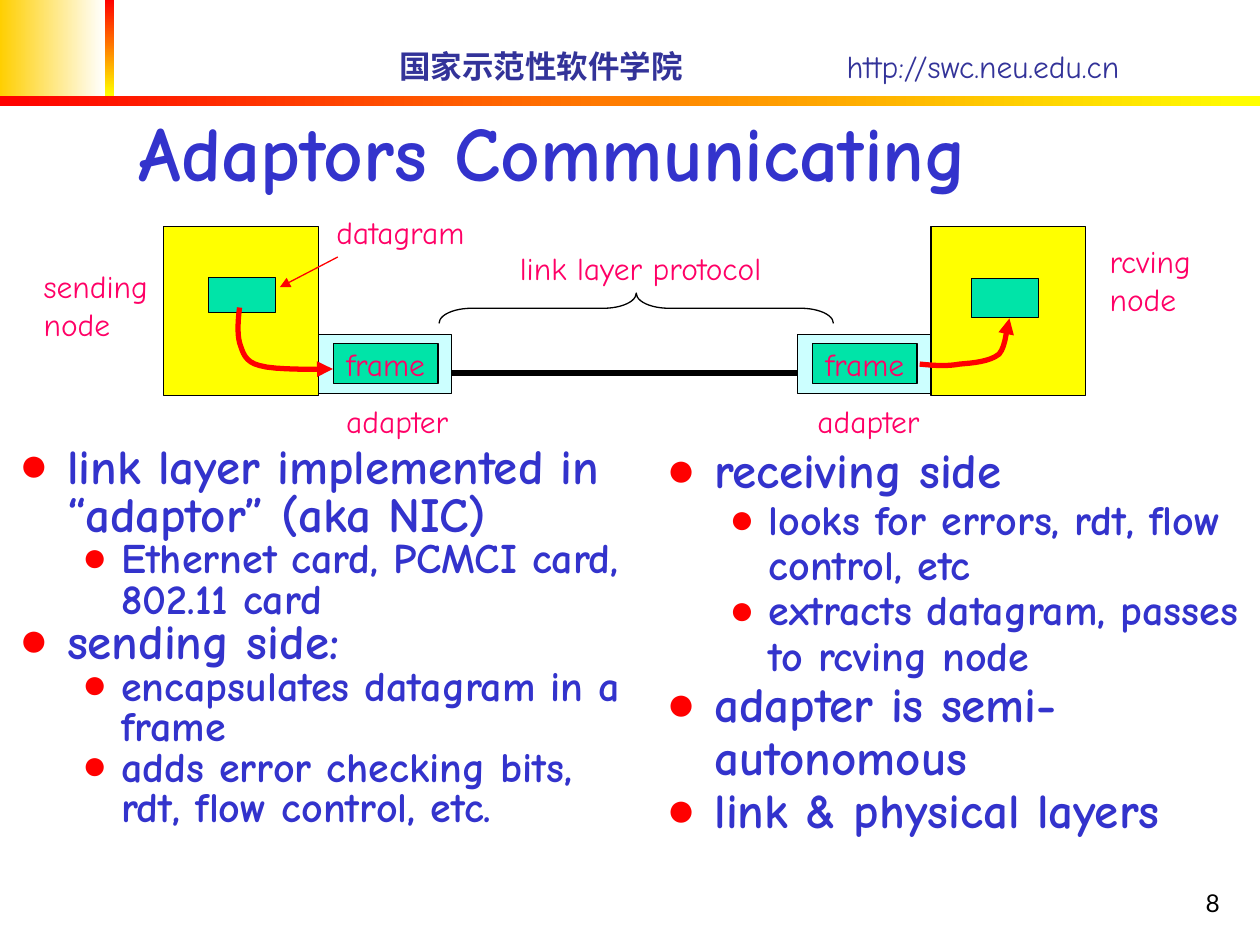
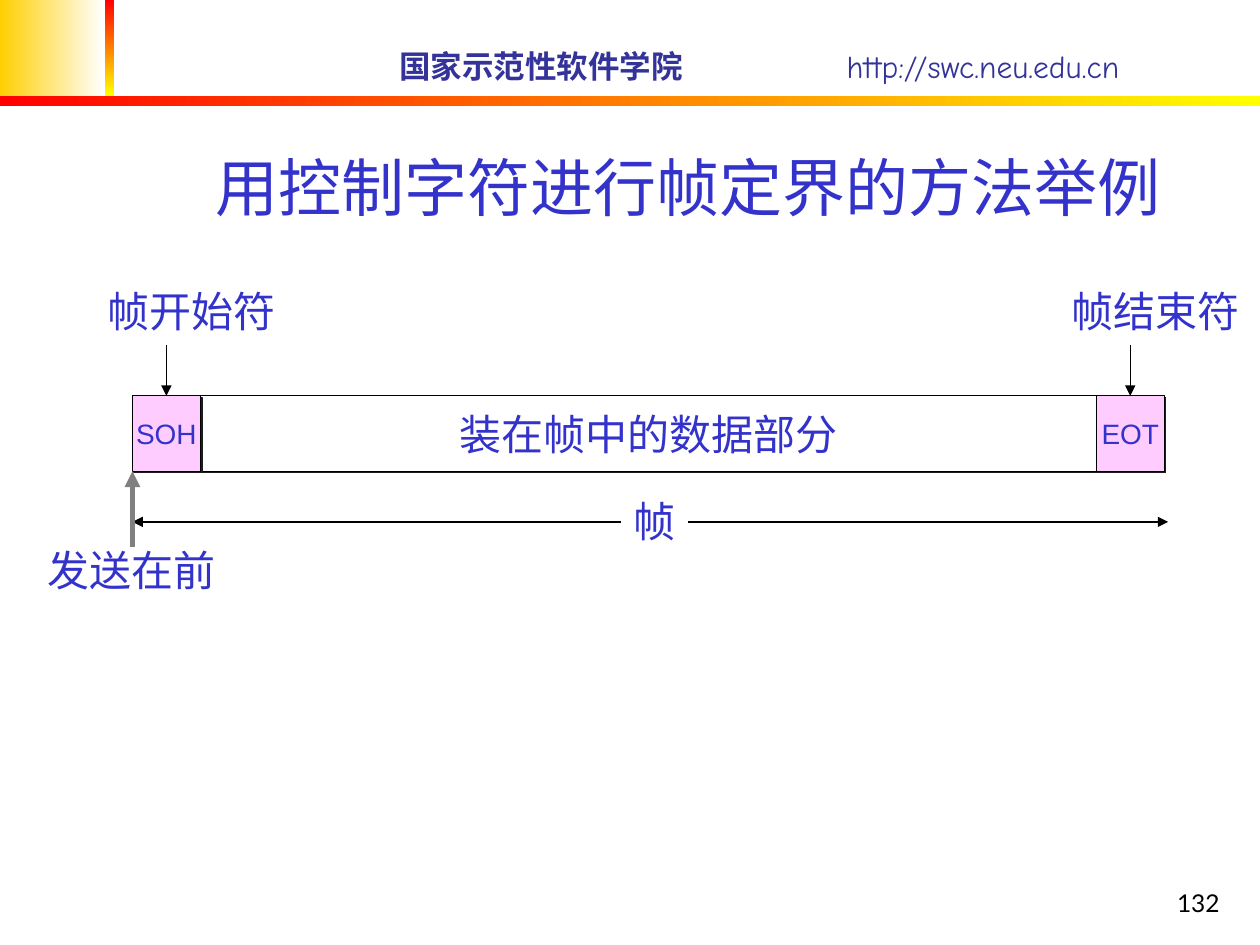
import dataclasses

import pptx
import pptx.dml.color
import pptx.enum.shapes
import pptx.enum.text
import pptx.oxml
import pptx.oxml.ns
import pptx.util
from lxml import etree

Cm = pptx.util.Cm
Pt = pptx.util.Pt
qn = pptx.oxml.ns.qn
ALIGN = pptx.enum.text.PP_ALIGN
ANCHOR = pptx.enum.text.MSO_ANCHOR
SHAPE = pptx.enum.shapes.MSO_SHAPE


@dataclasses.dataclass(frozen=True)
class Theme:
    blue: str = "3333CC"
    header_blue: str = "333399"
    red: str = "FF0000"
    yellow: str = "FFFF00"
    gold: str = "FFCF01"
    white: str = "FFFFFF"
    black: str = "000000"
    gray: str = "808080"
    magenta: str = "FF0066"
    green: str = "00E4A8"
    pale_cyan: str = "CCFFFF"
    pink: str = "FFCCFF"
    shadow: str = "1C1C1C"
    comic: str = "Comic Neue"
    lato: str = "Lato"
    arial: str = "Arial"
    list_sizes: tuple = (28, 24)
    label_size: int = 18
    chinese_size: int = 24
    symbol_size: int = 16
    number_size: int = 14
    thin: float = 0.75
    thick: float = 3


THEME = Theme()
LIST_INDENTS = ((0.97, -0.97), (2.06, -0.79))


@dataclasses.dataclass(frozen=True)
class Box:
    """A rectangle in centimetres."""
    left: float
    top: float
    width: float
    height: float

    def inner(self, left, top, width, height):
        return Box(self.left + left, self.top + top, width, height)

    def point(self, x, y):
        return Cm(self.left + x), Cm(self.top + y)

    def lengths(self):
        return [Cm(value) for value in dataclasses.astuple(self)]


def rgb(color):
    return pptx.dml.color.RGBColor.from_string(color)


def add_element(parent, tag, **attributes):
    return etree.SubElement(parent, qn(tag), {key: str(value) for key, value in attributes.items()})


def add_run(paragraph, text, size=18, color=THEME.blue, font=THEME.comic, bold=False):
    run = paragraph.add_run()
    run.text = text
    run.font.size = Pt(size)
    run.font.name = font
    run.font.bold = bold
    run.font.color.rgb = rgb(color)


def write(shape, text, align=ALIGN.LEFT, anchor=ANCHOR.TOP, wrap=False, **run_format):
    """Set the text of a shape, one paragraph for each line."""
    frame = shape.text_frame
    frame.auto_size = pptx.enum.text.MSO_AUTO_SIZE.NONE
    frame.word_wrap = wrap
    frame.vertical_anchor = anchor
    for index, line in enumerate(text.split("\n")):
        paragraph = frame.add_paragraph() if index else frame.paragraphs[0]
        paragraph.alignment = align
        add_run(paragraph, line, **run_format)
    return shape


def add_label(slide, box, text, **text_format):
    return write(slide.shapes.add_textbox(*box.lengths()), text, **text_format)


def style_line(shape, color, width, head=False, tail=False):
    shape.line.color.rgb = rgb(color)
    shape.line.width = Pt(width)
    line = shape.element.spPr.find(qn("a:ln"))
    for tag, wanted in (("a:headEnd", head), ("a:tailEnd", tail)):
        if wanted:
            add_element(line, tag, type="triangle")


def add_rectangle(slide, box, fill, shadow=False):
    shape = slide.shapes.add_shape(SHAPE.RECTANGLE, *box.lengths())
    shape.shadow.inherit = False
    shape.fill.solid()
    shape.fill.fore_color.rgb = rgb(fill)
    style_line(shape, THEME.black, THEME.thin)
    if shadow:
        effects = shape.element.spPr.find(qn("a:effectLst"))
        outer = add_element(effects, "a:outerShdw", dist=Pt(1.4), dir=45 * 60000, algn="ctr", rotWithShape=0)
        add_element(outer, "a:srgbClr", val=THEME.shadow)
    return shape


def add_line(slide, start, end, color=THEME.black, width=THEME.thin, **arrowheads):
    connector = slide.shapes.add_connector(pptx.enum.shapes.MSO_CONNECTOR.STRAIGHT, *start, *end)
    style_line(connector, color, width, **arrowheads)
    add_element(connector.element.spPr, "a:effectLst")
    return connector


def curve_points(points, steps=8):
    """Sample a chain of cubic Bézier segments."""
    for index in range(0, len(points) - 1, 3):
        corners = points[index:index + 4]
        for step in range(1, steps + 1):
            t = step / steps
            weights = ((1 - t) ** 3, 3 * t * (1 - t) ** 2, 3 * t ** 2 * (1 - t), t ** 3)
            yield tuple(sum(weight * corner[axis] for weight, corner in zip(weights, corners))
                        for axis in (0, 1))


def add_curved_arrow(slide, box, points):
    builder = slide.shapes.build_freeform(*box.point(*points[0]))
    builder.add_line_segments([box.point(*point) for point in curve_points(points)], close=False)
    arrow = builder.convert_to_shape()
    arrow.shadow.inherit = False
    arrow.fill.background()
    style_line(arrow, THEME.red, THEME.thick, tail=True)


def add_gradient_band(slide, box, colors, angle=0):
    band = slide.shapes.add_shape(SHAPE.RECTANGLE, *box.lengths())
    band.shadow.inherit = False
    band.line.fill.background()
    band.fill.gradient()
    band.fill.gradient_angle = angle
    for stop, color in zip(band.fill.gradient_stops, colors):
        stop.color.rgb = rgb(color)


def add_header(slide, box):
    corner_width, stripe, bar_top = 2.11, 0.2, 1.93
    add_gradient_band(slide, box.inner(0, 0, corner_width, bar_top), (THEME.gold, THEME.white))
    add_gradient_band(slide, box.inner(corner_width, 0, stripe, bar_top), (THEME.red, THEME.yellow), 270)
    add_gradient_band(slide, box.inner(0, bar_top, box.width, stripe), (THEME.red, THEME.yellow))
    label = slide.shapes.add_textbox(*box.inner(7.8, 0.81, 17.02, 1.02).lengths())
    paragraph = label.text_frame.paragraphs[0]
    tabs = add_element(paragraph._p.get_or_add_pPr(), "a:tabLst")
    add_element(tabs, "a:tab", pos=Cm(9.02), algn="l")
    write(label, "国家示范性软件学院", anchor=ANCHOR.MIDDLE, wrap=True,
          size=THEME.label_size, color=THEME.header_blue, bold=True)
    add_run(paragraph, "\thttp://swc.neu.edu.cn", size=THEME.label_size, color=THEME.header_blue)


def place(shape, box):
    shape.left, shape.top, shape.width, shape.height = box.lengths()
    return shape


def add_slide(presentation, layout_index, number, title, title_box, **title_format):
    slide = presentation.slides.add_slide(presentation.slide_layouts[layout_index])
    add_header(slide, Box(0, 0, 25.4, 2.13))
    write(place(slide.shapes.title, title_box), title, anchor=ANCHOR.BOTTOM, wrap=True, **title_format)
    add_label(slide, Box(19.56, 17.35, 5.28, 1.27), number, align=ALIGN.RIGHT, anchor=ANCHOR.BOTTOM,
              wrap=True, size=THEME.number_size, font=THEME.lato, color=THEME.black)
    return slide


def fill_list(placeholder, box, items, line_spacing):
    frame = place(placeholder, box).text_frame
    frame.auto_size = pptx.enum.text.MSO_AUTO_SIZE.NONE
    for index, (level, text) in enumerate(items):
        paragraph = frame.add_paragraph() if index else frame.paragraphs[0]
        paragraph.level = level
        properties = paragraph._p.get_or_add_pPr()
        margin, indent = LIST_INDENTS[level]
        properties.set("marL", str(Cm(margin)))
        properties.set("indent", str(Cm(indent)))
        add_element(add_element(properties, "a:buClr"), "a:srgbClr", val=THEME.red)
        add_element(properties, "a:buFont", typeface=THEME.arial)
        add_element(properties, "a:buChar", char="●")
        paragraph.line_spacing = line_spacing
        paragraph.space_before = Pt(0)
        add_run(paragraph, text, size=THEME.list_sizes[level], bold=True)


def draw_adapter(slide, box, label_offset):
    pink_text = {"size": THEME.label_size, "color": THEME.magenta}
    add_rectangle(slide, box, THEME.pale_cyan)
    frame = add_rectangle(slide, box.inner(0.3, 0.18, 2.11, 0.81), THEME.green)
    write(frame, "frame", align=ALIGN.CENTER, anchor=ANCHOR.MIDDLE, **pink_text)
    add_label(slide, box.inner(label_offset, 1.22, 2.59, 1.02), "adapter", **pink_text)


def draw_adapter_diagram(slide, box):
    node_width, adapter_width, adapter_top = 3.12, 2.69, 2.18
    receiver_left = box.width - node_width
    receiving_adapter_left = receiver_left - adapter_width
    for left, label_offset in ((node_width, 0.31), (receiving_adapter_left, 0.15)):
        draw_adapter(slide, box.inner(left, adapter_top, adapter_width, 1.19), label_offset)
    link_y = 2.95
    add_line(slide, box.point(node_width + adapter_width, link_y),
             box.point(receiving_adapter_left, link_y), width=THEME.thick)
    for left, datagram in ((0, (0.91, 1.02, 1.35, 0.71)), (receiver_left, (0.81, 1.04, 1.35, 0.79))):
        node = box.inner(left, 0, node_width, box.height)
        add_rectangle(slide, node, THEME.yellow)
        add_rectangle(slide, node.inner(*datagram), THEME.green)
    add_line(slide, box.point(3.51, 0.61), box.point(2.34, 1.22), color=THEME.red, tail=True)
    add_curved_arrow(slide, box, [
        (1.53, 1.63), (1.5, 1.88), (1.48, 2.14), (1.53, 2.34), (1.6, 2.54),
        (1.63, 2.72), (1.93, 2.8), (2.26, 2.9), (3.15, 2.87), (3.41, 2.87)])
    add_curved_arrow(slide, box, [
        (15.24, 2.77), (15.52, 2.8), (15.78, 2.82), (16.05, 2.77), (16.31, 2.75),
        (16.66, 2.72), (16.84, 2.57), (16.99, 2.41), (16.99, 1.98), (17.05, 1.85)])
    brace = slide.shapes.add_shape(SHAPE.LEFT_BRACE, *box.inner(9.22, -2.33, 0.61, 7.95).lengths())
    brace.rotation = 90
    brace.adjustments[0] = 1.08
    brace.shadow.inherit = False
    brace.fill.background()
    style_line(brace, THEME.black, THEME.thin)
    for text, label_box in (("sending\nnode", (-2.67, 0.69, 2.62, 1.78)),
                            ("rcving\nnode", (18.82, 0.18, 2.16, 1.78)),
                            ("datagram", (3.23, -0.41, 3.12, 1.02)),
                            ("link layer protocol", (6.93, 0.33, 5.41, 1.02))):
        add_label(slide, box.inner(*label_box), text, size=THEME.label_size, color=THEME.magenta)


def draw_frame_format(slide, box):
    chinese = {"size": THEME.chinese_size, "font": THEME.arial}
    centred = {"align": ALIGN.CENTER, "anchor": ANCHOR.MIDDLE}
    cap = 1.37
    data = add_rectangle(slide, box.inner(cap, 0, box.width - 2 * cap, box.height), THEME.white, shadow=True)
    write(data, "装在帧中的数据部分", **centred, **chinese)
    for left, symbol, meaning in ((0, "SOH", "帧开始符"), (box.width - cap, "EOT", "帧结束符")):
        cap_box = box.inner(left, 0, cap, box.height)
        control = add_rectangle(slide, cap_box, THEME.pink, shadow=True)
        write(control, symbol, size=THEME.symbol_size, font=THEME.arial, **centred)
        pointer = add_line(slide, cap_box.point(cap / 2, -1.02), cap_box.point(cap / 2, 0), tail=True)
        pointer.end_connect(control, 0)
        add_label(slide, cap_box.inner(-0.75, -2.34, 3.89, 1.27), meaning, **chinese)
    add_line(slide, box.point(0, 2.54), box.point(box.width + 0.08, 2.54), head=True, tail=True)
    length_label = add_label(slide, box.inner(9.85, 1.88, 1.35, 1.27), "帧", **chinese)
    length_label.fill.solid()
    length_label.fill.fore_color.rgb = rgb(THEME.white)
    add_line(slide, box.point(0, 3.05), box.point(0, box.height), color=THEME.gray,
             width=THEME.thick, tail=True)
    add_label(slide, box.inner(-1.96, 2.87, 3.89, 1.27), "发送在前", **chinese)


def build_adaptors_slide(presentation):
    slide = add_slide(presentation, 3, "8", "Adaptors Communicating",
                      Box(2.54, 0.81, 21.64, 3.28), size=44, bold=True)
    draw_adapter_diagram(slide, Box(3.3, 4.57, 18.59, 3.4))
    fill_list(slide.placeholders[1], Box(0.13, 8.89, 13.03, 8.41), [
        (0, "link layer implemented in “adaptor” (aka NIC)"),
        (1, "Ethernet card, PCMCI card, 802.11 card"),
        (0, "sending side:"),
        (1, "encapsulates datagram in a frame"),
        (1, "adds error checking bits, rdt, flow control, etc."),
    ], 0.8)
    fill_list(slide.placeholders[2], Box(13.18, 8.86, 12.22, 8.31), [
        (0, "receiving side"),
        (1, "looks for errors, rdt, flow control, etc"),
        (1, "extracts datagram, passes to rcving node"),
        (0, "adapter is semi-autonomous"),
        (0, "link & physical layers"),
    ], 0.9)


def build_framing_slide(presentation):
    slide = add_slide(presentation, 5, "132", "用控制字符进行帧定界的方法举例",
                      Box(3.05, 0.58, 21.64, 4.06), size=36, font=THEME.lato, align=ALIGN.CENTER)
    draw_frame_format(slide, Box(2.67, 7.98, 20.8, 1.52))


def main():
    presentation = pptx.Presentation()
    presentation.slide_width, presentation.slide_height = Cm(25.4), Cm(19.05)
    build_adaptors_slide(presentation)
    build_framing_slide(presentation)
    presentation.save("out.pptx")


if __name__ == "__main__":
    main()
